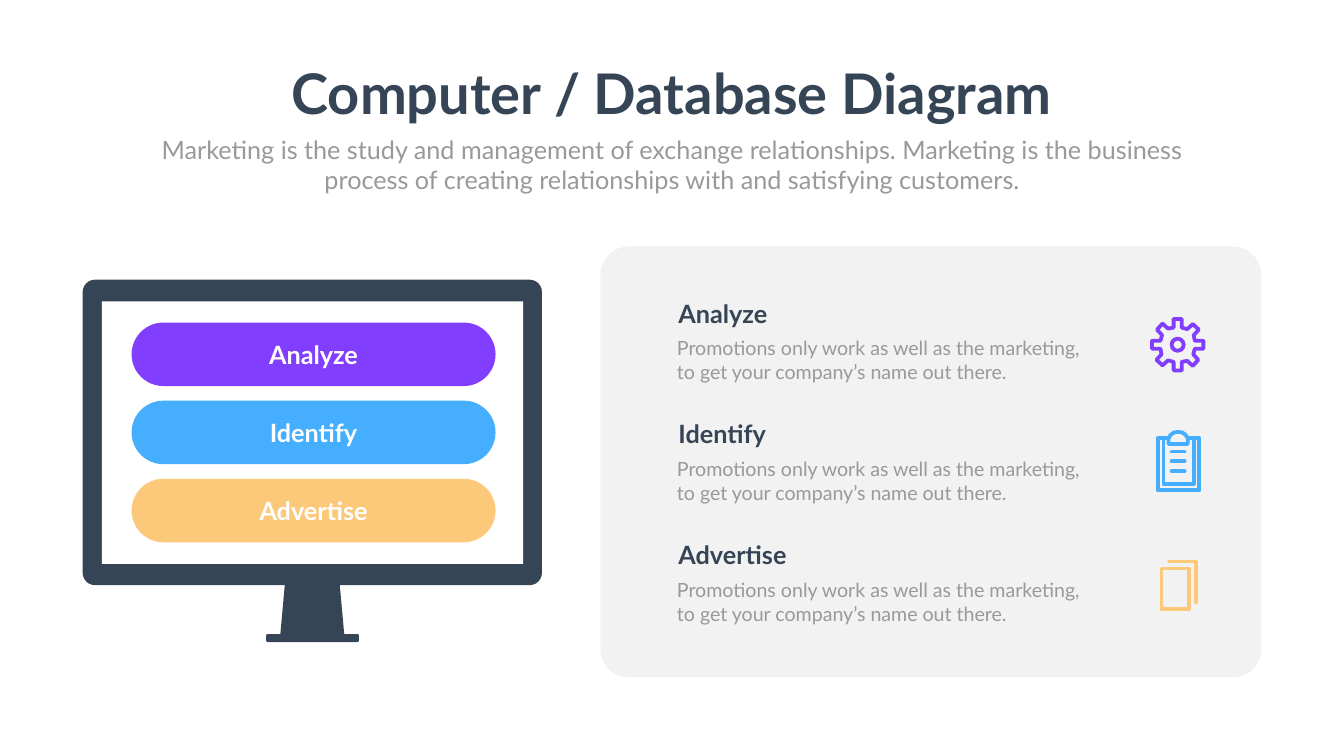
from lxml.etree import SubElement
from pptx import Presentation
from pptx.dml.color import RGBColor
from pptx.enum.shapes import MSO_CONNECTOR, MSO_SHAPE
from pptx.enum.text import MSO_ANCHOR as Anchor, MSO_AUTO_SIZE, PP_ALIGN as Align
from pptx.oxml.ns import qn
from pptx.util import Inches, Pt

TITLE = "Computer / Database Diagram"
SUBTITLE = ("Marketing is the study and management of exchange relationships. "
            "Marketing is the business process of creating relationships with "
            "and satisfying customers.")
DETAIL = ("Promotions only work as well as the marketing, "
          "to get your company’s name out there.")
VIOLET, BLUE, AMBER = "823EFE", "45AEFF", "FCC87A"
STEPS = [("Analyze", VIOLET), ("Identify", BLUE), ("Advertise", AMBER)]
DARK, GREY, WHITE = "364556", "999999", "FFFFFF"
FONT = "Lato"

PILL_TOP, PILL_STEP = 6.4, 1.55
DETAIL_TOP, DETAIL_STEP = 5.86, 2.4
STROKE = 5.4

STAND = [(5.66, 11.49), (6.73, 11.49), (6.83, 12.6), (5.56, 12.6)]

# Gear: a quarter of the outline around its centre, turned four times
GEAR_CENTRE = (23.36, 6.84)
GEAR_QUARTER = [(0.08, -0.51), (0.08, -0.34), (0.19, -0.31), (0.3, -0.41),
                (0.42, -0.3), (0.32, -0.19), (0.34, -0.08), (0.51, -0.08)]
HUB_RADIUS = 0.12

BOARD = [(23.17, 8.69), (22.97, 8.69), (22.97, 9.73), (23.79, 9.73),
         (23.79, 8.69), (23.57, 8.69)]
PAPER = [(23.08, 8.69), (23.08, 9.6), (23.68, 9.6), (23.68, 8.69)]
CLIP = [(23.18, 8.81), (23.18, 8.7), (23.22, 8.63), (23.29, 8.58), (23.37, 8.57),
        (23.45, 8.58), (23.52, 8.63), (23.56, 8.7), (23.56, 8.81)]
PAPER_LINES = [8.96, 9.15, 9.35]

FRONT_SHEET = [(23.04, 11.28), (23.58, 11.28), (23.58, 12.09), (23.04, 12.09)]
BACK_SHEET = [(23.19, 11.14), (23.72, 11.14), (23.72, 11.95)]


def rgb(colour):
    return RGBColor.from_string(colour)


def write(frame, text, size=36, colour=DARK, bold=False, align=Align.LEFT,
          anchor=Anchor.TOP, wrap=True):
    frame.auto_size = MSO_AUTO_SIZE.NONE
    frame.word_wrap = wrap
    frame.vertical_anchor = anchor
    paragraph = frame.paragraphs[0]
    paragraph.text = text
    paragraph.alignment = align
    font = paragraph.font
    font.name, font.size, font.bold = FONT, Pt(size), bold
    font.color.rgb = rgb(colour)


def add_label(slide, box, text, **style):
    label = slide.shapes.add_textbox(*map(Inches, box))
    write(label.text_frame, text, **style)


def paint(shape, colour):
    shape.shadow.inherit = False
    shape.fill.solid()
    shape.fill.fore_color.rgb = rgb(colour)
    shape.line.fill.background()


def add_block(slide, box, colour, kind=MSO_SHAPE.ROUNDED_RECTANGLE, corner=None):
    block = slide.shapes.add_shape(kind, *map(Inches, box))
    paint(block, colour)
    if corner is not None:
        block.adjustments[0] = corner
    return block


def outline(shape, colour):
    """Give a shape a thick line with round ends and corners."""
    shape.line.width = Pt(STROKE)
    shape.line.color.rgb = rgb(colour)
    ln = shape._element.spPr.find(qn("a:ln"))
    ln.set("cap", "rnd")
    SubElement(ln, qn("a:round"))


def add_path(slide, points, close=True):
    points = [(Inches(x), Inches(y)) for x, y in points]
    builder = slide.shapes.build_freeform(*points[0])
    builder.add_line_segments(points[1:], close=close)
    path = builder.convert_to_shape()
    path.shadow.inherit = False
    return path


def add_stroke(slide, points, colour, close=True):
    stroke = add_path(slide, points, close)
    stroke.fill.background()
    outline(stroke, colour)


def add_gear(slide):
    cx, cy = GEAR_CENTRE
    quarter, rim = GEAR_QUARTER, []
    for _ in range(4):
        rim += [(cx + x, cy + y) for x, y in quarter]
        quarter = [(-y, x) for x, y in quarter]
    add_stroke(slide, rim, VIOLET)
    hub_box = (cx - HUB_RADIUS, cy - HUB_RADIUS, 2 * HUB_RADIUS, 2 * HUB_RADIUS)
    hub = add_block(slide, hub_box, VIOLET, MSO_SHAPE.OVAL)
    hub.fill.background()
    outline(hub, VIOLET)


def add_clipboard(slide):
    add_stroke(slide, BOARD, BLUE, close=False)
    add_stroke(slide, PAPER, BLUE, close=False)
    add_stroke(slide, CLIP, BLUE)
    for y in PAPER_LINES:
        ends = map(Inches, (23.24, y, 23.5, y))
        line = slide.shapes.add_connector(MSO_CONNECTOR.STRAIGHT, *ends)
        outline(line, BLUE)
        SubElement(line._element.spPr, qn("a:effectLst"))


def add_sheets(slide):
    add_stroke(slide, FRONT_SHEET, AMBER)
    add_stroke(slide, BACK_SHEET, AMBER, close=False)


def add_computer(slide):
    paint(add_path(slide, STAND), DARK)
    add_block(slide, (5.28, 12.58, 1.84, 0.16), DARK, corner=0.2)
    add_block(slide, (1.64, 5.55, 9.11, 6.06), DARK, corner=0.04)
    add_block(slide, (2.02, 5.98, 8.36, 5.21), WHITE, MSO_SHAPE.RECTANGLE)
    for i, (name, colour) in enumerate(STEPS):
        pill_box = (2.61, PILL_TOP + i * PILL_STEP, 7.22, 1.26)
        pill = add_block(slide, pill_box, colour, corner=0.5)
        write(pill.text_frame, name, colour=WHITE, bold=True,
              align=Align.CENTER, anchor=Anchor.MIDDLE)


def add_details(slide):
    panel = add_block(slide, (11.91, 4.89, 13.11, 8.55), "808080", corner=0.066)
    tint = panel._element.spPr.find(qn("a:solidFill"))[0]
    SubElement(tint, qn("a:alpha")).set("val", "10000")
    for i, (name, _) in enumerate(STEPS):
        top = DETAIL_TOP + i * DETAIL_STEP
        add_label(slide, (13.36, top, 2.61, 0.71), name, bold=True)
        add_label(slide, (13.33, top + 0.76, 8.38, 1.04), DETAIL, size=28, colour=GREY)


def main():
    deck = Presentation()
    deck.slide_width, deck.slide_height = Inches(26.66), Inches(15)
    slide = deck.slides.add_slide(deck.slide_layouts[5])
    title = slide.shapes.title
    title.left, title.top, title.width, title.height = map(Inches, (5.6, 1.12, 15.45, 1.45))
    write(title.text_frame, TITLE, size=80, bold=True, align=Align.CENTER, wrap=False)
    add_label(slide, (2.92, 2.61, 20.82, 1.31), SUBTITLE, colour=GREY, align=Align.CENTER)
    add_computer(slide)
    add_details(slide)
    add_gear(slide)
    add_clipboard(slide)
    add_sheets(slide)
    deck.save("out.pptx")


if __name__ == "__main__":
    main()
